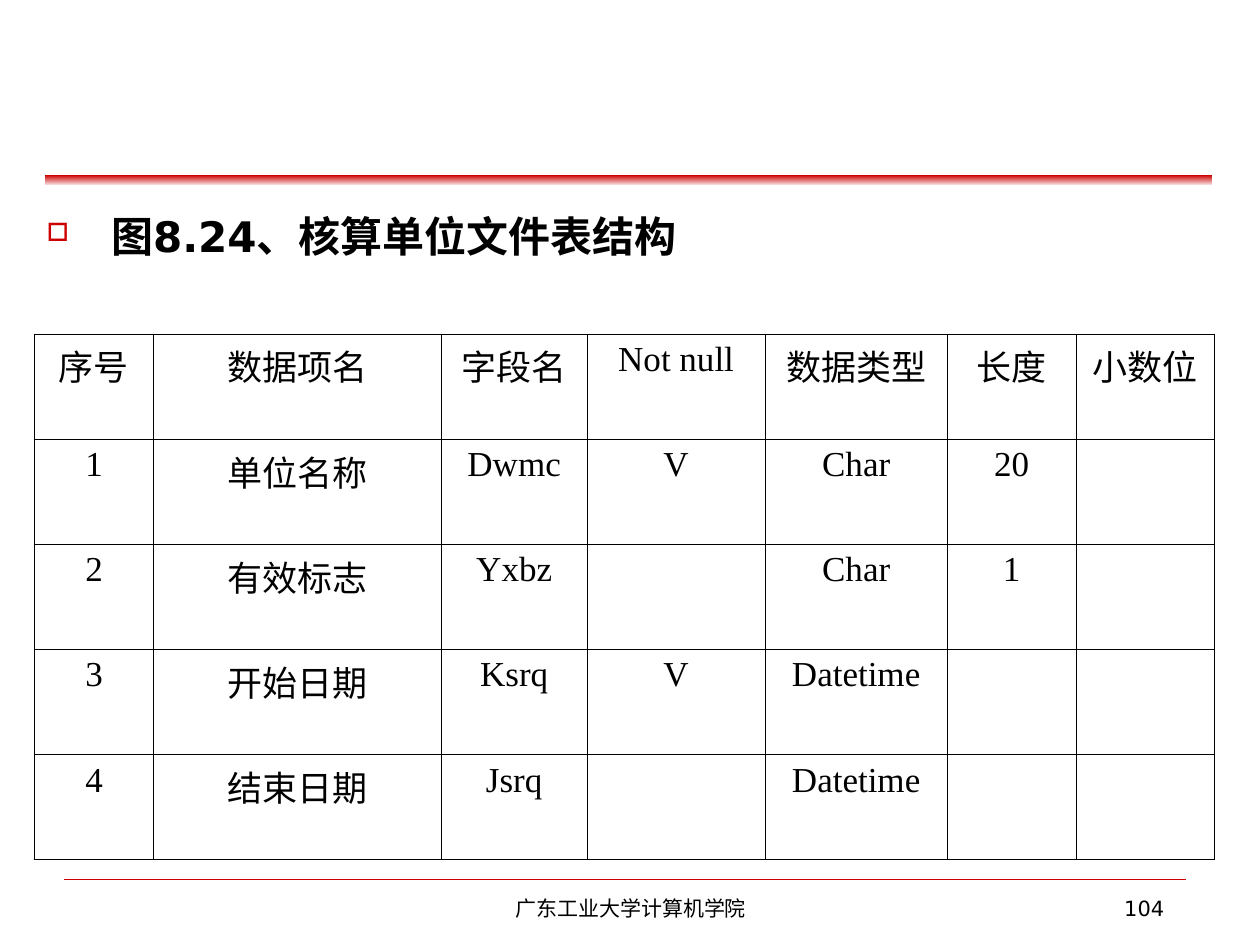
from dataclasses import dataclass

from lxml.etree import SubElement
from pptx import Presentation
from pptx.dml.color import RGBColor
from pptx.enum.shapes import MSO_CONNECTOR
from pptx.enum.text import PP_ALIGN
from pptx.oxml.ns import qn
from pptx.util import Cm, Pt

BLACK = RGBColor(0x00, 0x00, 0x00)
WHITE = RGBColor(0xFF, 0xFF, 0xFF)
RED = RGBColor(0xCC, 0x00, 0x00)
PALE_RED = RGBColor(0xF7, 0xDF, 0xDF)

COLUMN_WIDTHS = (2.41, 5.79, 2.95, 3.58, 3.68, 2.59, 2.79)
ROW_HEIGHT = 2.12
ROWS = (
    ("序号", "数据项名", "字段名", "Not null", "数据类型", "长度", "小数位"),
    ("1", "单位名称", "Dwmc", "V", "Char", "20", ""),
    ("2", "有效标志", "Yxbz", "", "Char", "1", ""),
    ("3", "开始日期", "Ksrq", "V", "Datetime", "", ""),
    ("4", "结束日期", "Jsrq", "", "Datetime", "", ""),
)


@dataclass(frozen=True)
class Label:
    text: str
    left: float
    top: float
    width: float
    height: float
    size: int
    align: PP_ALIGN
    bold: bool = False
    bullet: bool = False


LABELS = (
    Label("图8.24、核算单位文件表结构", 0.69, 4.11, 24.21, 13.21, 24, PP_ALIGN.LEFT, True, True),
    Label("广东工业大学计算机学院", 8.69, 17.93, 8.05, 0.74, 12, PP_ALIGN.CENTER),
    Label("104", 18.21, 17.93, 5.51, 0.74, 12, PP_ALIGN.RIGHT),
)


def format_paragraph(para, font: str, size: int, align: PP_ALIGN, bold: bool = False) -> None:
    para.alignment = align
    for span in para.runs:
        span.font.name = font
        span.font.size = Pt(size)
        span.font.bold = bold
        span.font.color.rgb = BLACK


def add_bullet(para) -> None:
    properties = para._p.get_or_add_pPr()
    properties.set("marL", str(Cm(1.3)))
    properties.set("indent", str(-Cm(1.3)))
    color = SubElement(properties, qn("a:buClr"))
    SubElement(color, qn("a:srgbClr"), val=str(RED))
    SubElement(properties, qn("a:buSzPct"), val="60000")
    SubElement(properties, qn("a:buChar"), char="□")


def add_label(page, label: Label) -> None:
    box = page.shapes.add_textbox(Cm(label.left), Cm(label.top), Cm(label.width), Cm(label.height))
    box.text_frame.word_wrap = True
    box.text_frame.text = label.text
    para = box.text_frame.paragraphs[0]
    if label.bullet:
        add_bullet(para)
    format_paragraph(para, "DejaVu Sans", label.size, label.align, label.bold)


def add_title_bar(page) -> None:
    left, top, right, bottom = Cm(0.9), Cm(3.53), Cm(24.43), Cm(3.73)
    builder = page.shapes.build_freeform(left, bottom)
    builder.add_line_segments([(right, bottom), (right, top), (left, top)], close=True)
    bar = builder.convert_to_shape()
    bar.shadow.inherit = False
    bar.fill.gradient()
    bar.fill.gradient_angle = 90
    for stop, color, position in zip(bar.fill.gradient_stops, (PALE_RED, RED), (0, 1)):
        stop.color.rgb = color
        stop.position = position
    bar.line.color.rgb = WHITE
    bar.line.width = Pt(0.75)
    for outline in bar._element.iter(qn("a:path")):
        outline.set("stroke", "0")


def add_footer_rule(page) -> None:
    rule = page.shapes.add_connector(MSO_CONNECTOR.STRAIGHT, Cm(1.3), Cm(17.73), Cm(23.9), Cm(17.73))
    rule.line.color.rgb = RED
    rule.line.width = Pt(0.25)
    SubElement(rule._element.spPr, qn("a:effectLst"))


def add_borders(cell) -> None:
    properties = cell._tc.get_or_add_tcPr()
    for side in ("a:lnL", "a:lnR", "a:lnT", "a:lnB"):
        border = SubElement(properties, qn(side), w=str(Pt(0.45)))
        fill = SubElement(border, qn("a:solidFill"))
        SubElement(fill, qn("a:srgbClr"), val=str(BLACK))


def add_structure_table(page) -> None:
    frame = page.shapes.add_table(
        len(ROWS), len(COLUMN_WIDTHS), Cm(0.69), Cm(6.73),
        Cm(sum(COLUMN_WIDTHS)), Cm(ROW_HEIGHT * len(ROWS)),
    )
    table = frame.table
    table.first_row = False
    table.horz_banding = False
    for column, width in zip(table.columns, COLUMN_WIDTHS):
        column.width = Cm(width)
    for row, texts in zip(table.rows, ROWS):
        row.height = Cm(ROW_HEIGHT)
        for cell, text in zip(row.cells, texts):
            add_borders(cell)
            cell.fill.background()
            cell.text_frame.text = text
            font = "Times New Roman" if text.isascii() else "Arial"
            format_paragraph(cell.text_frame.paragraphs[0], font, 20, PP_ALIGN.CENTER)


def main() -> None:
    """Build the slide showing the accounting unit file structure."""
    deck = Presentation()
    deck.slide_width, deck.slide_height = Cm(25.4), Cm(19.05)
    page = deck.slides.add_slide(deck.slide_layouts[6])
    add_title_bar(page)
    add_footer_rule(page)
    heading, *footers = LABELS
    add_label(page, heading)
    add_structure_table(page)
    for footer in footers:
        add_label(page, footer)
    deck.save("out.pptx")


if __name__ == "__main__":
    main()
